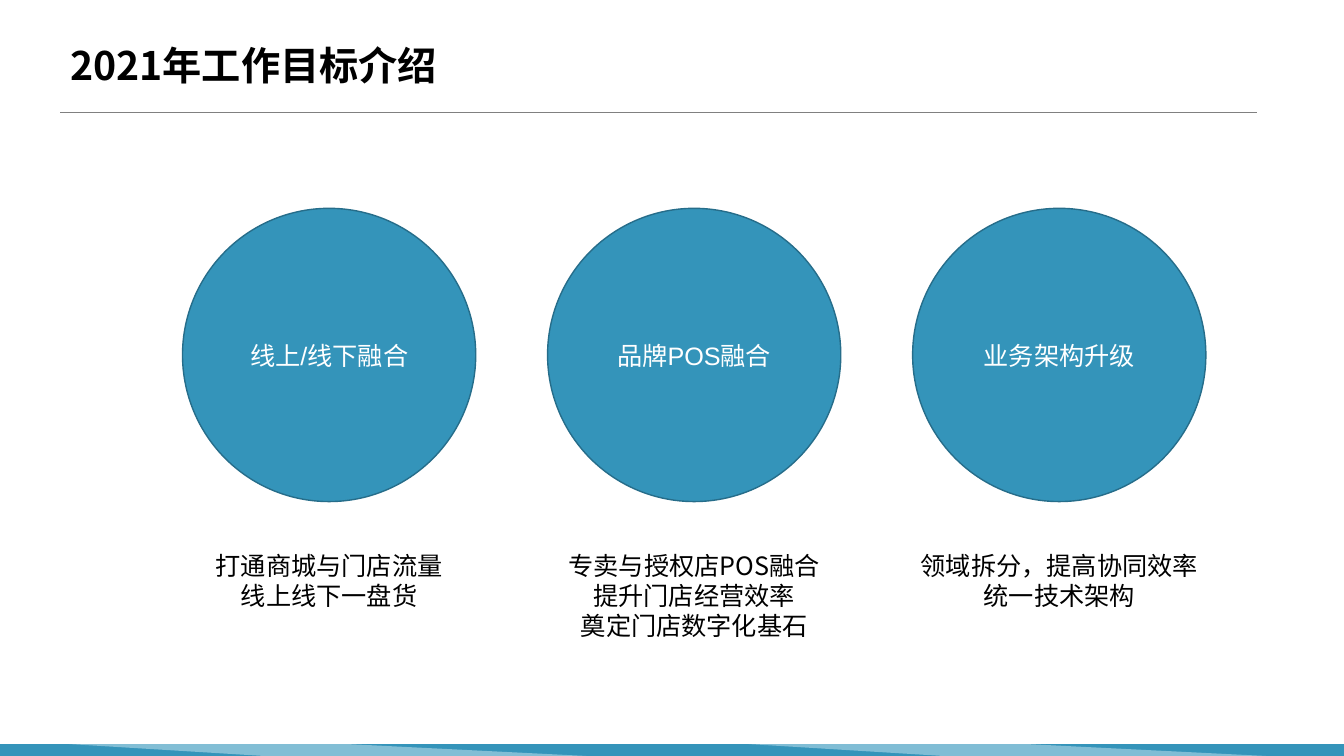
from lxml import etree
from pptx import Presentation
from pptx import util as u
from pptx.dml.color import RGBColor
from pptx.enum import shapes, text
from pptx.oxml import ns

Cm = u.Cm
BLUE, PALE, EDGE = "3494BA", "D4EAF3", "266D8A"
GRAY, BLACK, WHITE = "808080", "000000", "FFFFFF"
CJK = "Noto Sans CJK SC"

GOALS = [
    ("线上/线下融合", 6.4, ["打通商城与门店流量", "线上线下一盘货"]),
    ("品牌POS融合", 6.93, ["专卖与授权店POS融合", "提升门店经营效率", "奠定门店数字化基石"]),
    ("业务架构升级", 7.6, ["领域拆分，提高协同效率", "统一技术架构"]),
]


def colour(value):
    return RGBColor.from_string(value)


def assign(target, values):
    for name, value in values.items():
        setattr(target, name, value)


def fill_shape(shape, fill, edge=None, opacity=None):
    shape.shadow.inherit = False
    shape.fill.solid()
    shape.fill.fore_color.rgb = colour(fill)
    if opacity:
        tint = shape.fill._xPr.find(".//" + ns.qn("a:srgbClr"))
        etree.SubElement(tint, ns.qn("a:alpha"), val=str(opacity * 1000))
    if edge:
        shape.line.color.rgb = colour(edge)
        shape.line.width = u.Pt(1)
    else:
        shape.line.fill.background()


def write(frame, lines, align, ink, font=CJK, size=18, bold=False, spacing=1.0,
          anchor=text.MSO_ANCHOR.MIDDLE):
    assign(frame, {"word_wrap": True, "vertical_anchor": anchor,
                   "auto_size": text.MSO_AUTO_SIZE.NONE})
    for index, line in enumerate(lines):
        para = frame.add_paragraph() if index else frame.paragraphs[0]
        assign(para, {"alignment": align, "line_spacing": spacing})
        span = para.add_run()
        span.text = line
        assign(span.font, {"name": font, "size": u.Pt(size), "bold": bold})
        span.font.color.rgb = colour(ink)
        etree.SubElement(span.font._rPr, ns.qn("a:ea"), typeface=CJK)


def add_footer(page, left, top, width, height):
    bar = page.shapes.add_shape(shapes.MSO_SHAPE.RECTANGLE,
                                Cm(left), Cm(top), Cm(width), Cm(height))
    fill_shape(bar, BLUE)
    # Two translucent slanted bands
    for offset, opacity in ((1.75, 49), (18.87, 48)):
        start = left + offset
        corners = [(start + 7.01, top), (start + 13.03, top + height),
                   (start + 4.9, top + height)]
        outline = page.shapes.build_freeform(Cm(start), Cm(top))
        outline.add_line_segments([(Cm(x), Cm(y)) for x, y in corners], close=True)
        fill_shape(outline.convert_to_shape(), PALE, opacity=opacity)


def add_heading(page, left, top, width, height):
    rule = page.shapes.add_connector(shapes.MSO_CONNECTOR.STRAIGHT, Cm(left),
                                     Cm(top + height), Cm(left + width), Cm(top + height))
    rule.line.color.rgb = colour(GRAY)
    rule.line.width = u.Pt(0.5)
    etree.SubElement(rule._element.spPr, ns.qn("a:effectLst"))
    title = page.shapes.title
    assign(title, {"left": Cm(left), "top": Cm(top),
                   "width": Cm(width), "height": Cm(height)})
    write(title.text_frame, ["2021年工作目标介绍"], text.PP_ALIGN.LEFT, BLACK,
          size=28, bold=True, spacing=0.9)


def add_goals(page, left, top, width, diameter):
    step = (width - diameter) / (len(GOALS) - 1)
    for index, (name, note_width, notes) in enumerate(GOALS):
        start = left + index * step
        circle = page.shapes.add_shape(shapes.MSO_SHAPE.OVAL, Cm(start), Cm(top),
                                       Cm(diameter), Cm(diameter))
        fill_shape(circle, BLUE, EDGE)
        write(circle.text_frame, [name], text.PP_ALIGN.CENTER, WHITE, font="Arial")
        # Notes centred below the circle
        box = page.shapes.add_textbox(Cm(start + (diameter - note_width) / 2),
                                      Cm(top + diameter + 1.1), Cm(note_width),
                                      Cm(0.26 + 0.77 * len(notes)))
        write(box.text_frame, notes, text.PP_ALIGN.CENTER, BLACK,
              anchor=text.MSO_ANCHOR.TOP)


deck = Presentation()
assign(deck, {"slide_width": Cm(33.87), "slide_height": Cm(19.05)})
page = deck.slides.add_slide(deck.slide_layouts[5])
add_footer(page, 0, 18.75, 33.87, 0.3)
add_heading(page, 1.52, 0.58, 30.16, 2.26)
add_goals(page, 4.6, 5.25, 25.79, 7.39)
deck.save("out.pptx")
